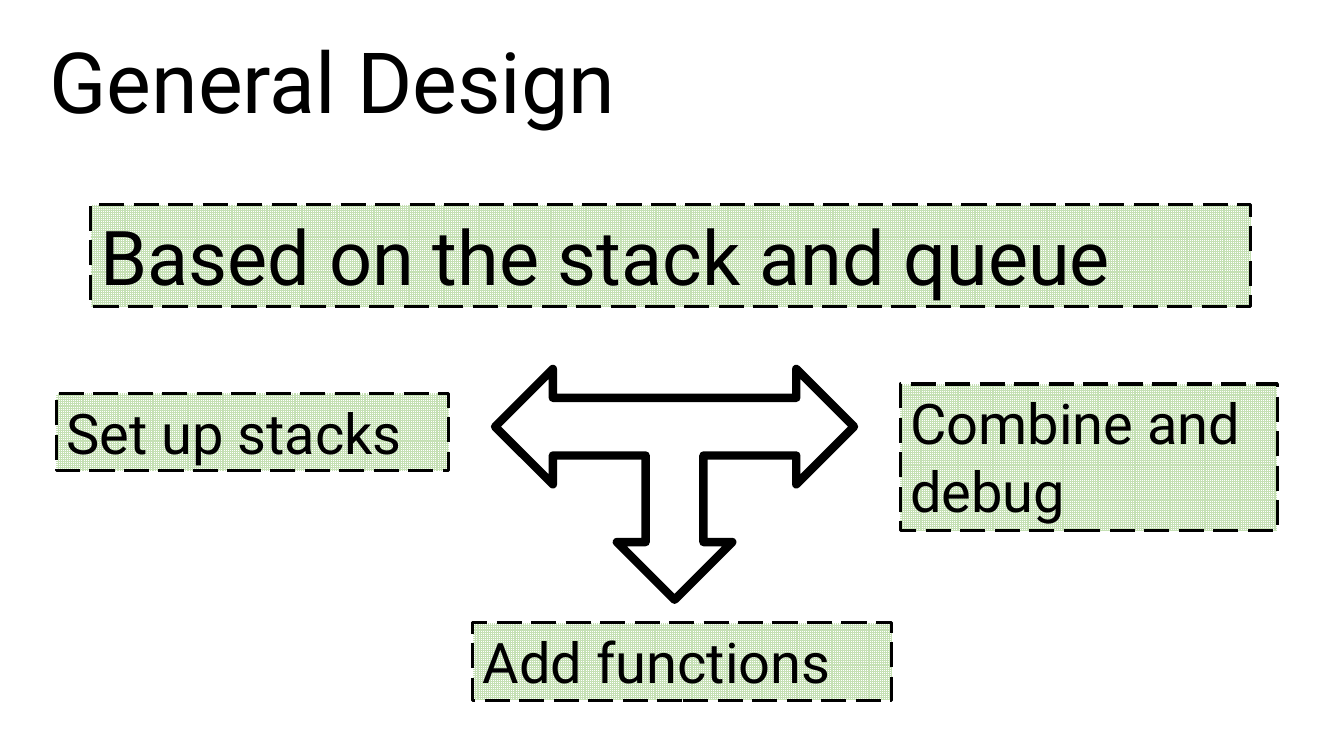
from pptx import Presentation
from pptx.dml.color import RGBColor
from pptx.enum.dml import MSO_LINE, MSO_PATTERN
from pptx.enum.shapes import MSO_SHAPE
from pptx.enum.text import MSO_ANCHOR, MSO_AUTO_SIZE, PP_ALIGN
from pptx.util import Inches, Pt

RECTANGLE = MSO_SHAPE.RECTANGLE
THREE_WAY_ARROW = MSO_SHAPE.LEFT_RIGHT_UP_ARROW
SMALL_GRID = MSO_PATTERN.SMALL_GRID
LONG_DASH = MSO_LINE.LONG_DASH
TOP, MIDDLE = MSO_ANCHOR.TOP, MSO_ANCHOR.MIDDLE
LEFT = PP_ALIGN.LEFT
GROW, NO_FIT = MSO_AUTO_SIZE.SHAPE_TO_FIT_TEXT, MSO_AUTO_SIZE.NONE

BLACK, WHITE, GREEN = "000000", "FFFFFF", "C5E0B4"


def color(value):
    return RGBColor.from_string(value)


def write(frame, text, size, anchor, fit):
    frame.text = text
    frame.word_wrap = True
    frame.vertical_anchor = anchor
    frame.auto_size = fit
    paragraph = frame.paragraphs[0]
    paragraph.alignment = LEFT
    font = paragraph.runs[0].font
    font.name = "Roboto"
    font.size = Pt(size)
    font.color.rgb = color(BLACK)


prs = Presentation()
prs.slide_width, prs.slide_height = Inches(13.33), Inches(7.5)
slide = prs.slides.add_slide(prs.slide_layouts[5])

title = slide.shapes.title
title.left, title.top = Inches(0.39), Inches(0.71)
title.width, title.height = Inches(11.33), Inches(1.05)
write(title.text_frame, "General Design", 60.3, MIDDLE, NO_FIT)
title.text_frame.margin_bottom = Inches(0.8)
title.text_frame.paragraphs[0].line_spacing = 0.9

steps = [
    ("Based on the stack and queue", 54, 0.9, 2.03, 11.5, 1.01),
    ("Set up stacks", 40, 0.56, 3.9, 3.89, 0.77),
    ("Add functions", 40, 4.69, 6.18, 4.15, 0.77),
    ("Combine and debug", 40, 8.93, 3.81, 3.74, 1.45),
]
for text, size, *place in steps:
    step = slide.shapes.add_shape(RECTANGLE, *map(Inches, place))
    step.shadow.inherit = False
    step.fill.patterned()
    step.fill.pattern = SMALL_GRID
    step.fill.fore_color.rgb = color(GREEN)
    step.fill.back_color.rgb = color(WHITE)
    step.line.color.rgb = color(BLACK)
    step.line.width = Pt(2.25)
    step.line.dash_style = LONG_DASH
    write(step.text_frame, text, size, TOP, GROW)

arrow = slide.shapes.add_shape(
    THREE_WAY_ARROW, Inches(4.91), Inches(3.66), Inches(3.56), Inches(2.29)
)
arrow.rotation = 180
arrow.shadow.inherit = False
arrow.fill.solid()
arrow.fill.fore_color.rgb = color(WHITE)
arrow.line.color.rgb = color(BLACK)
arrow.line.width = Pt(6)

prs.save("out.pptx")
